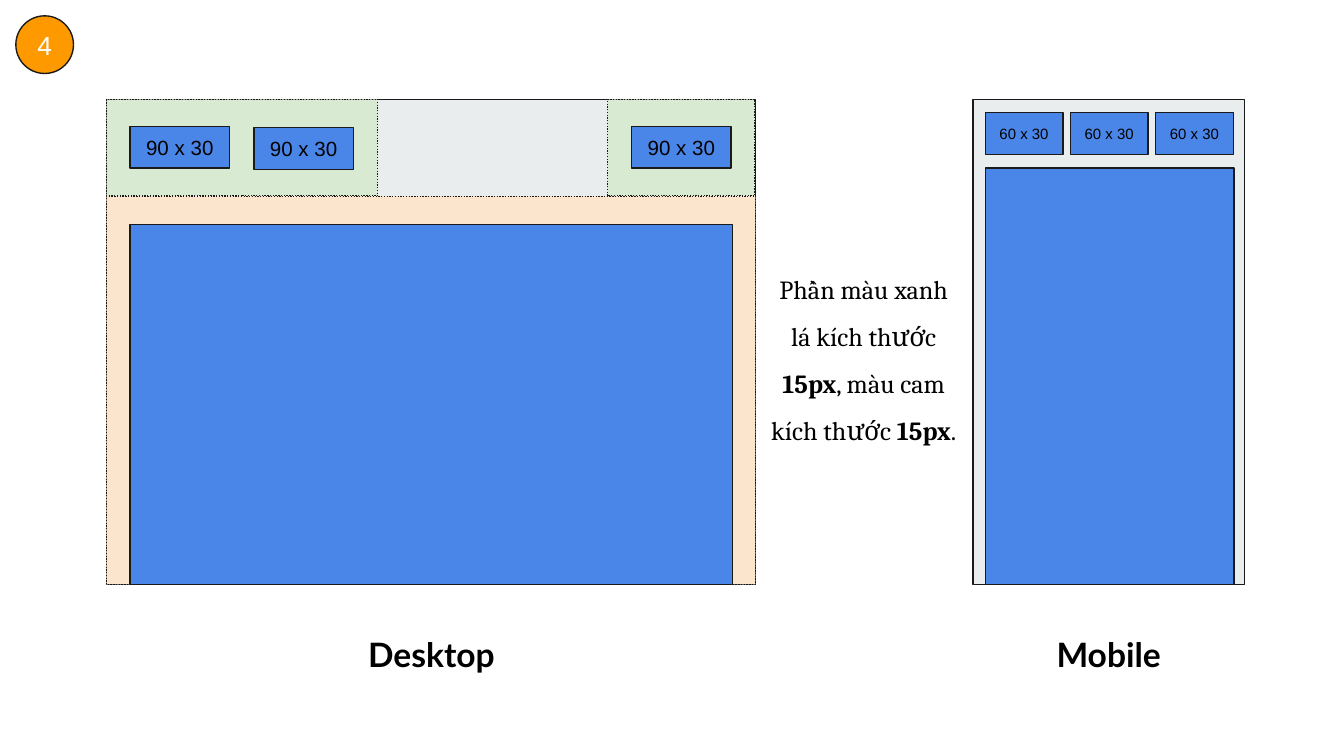
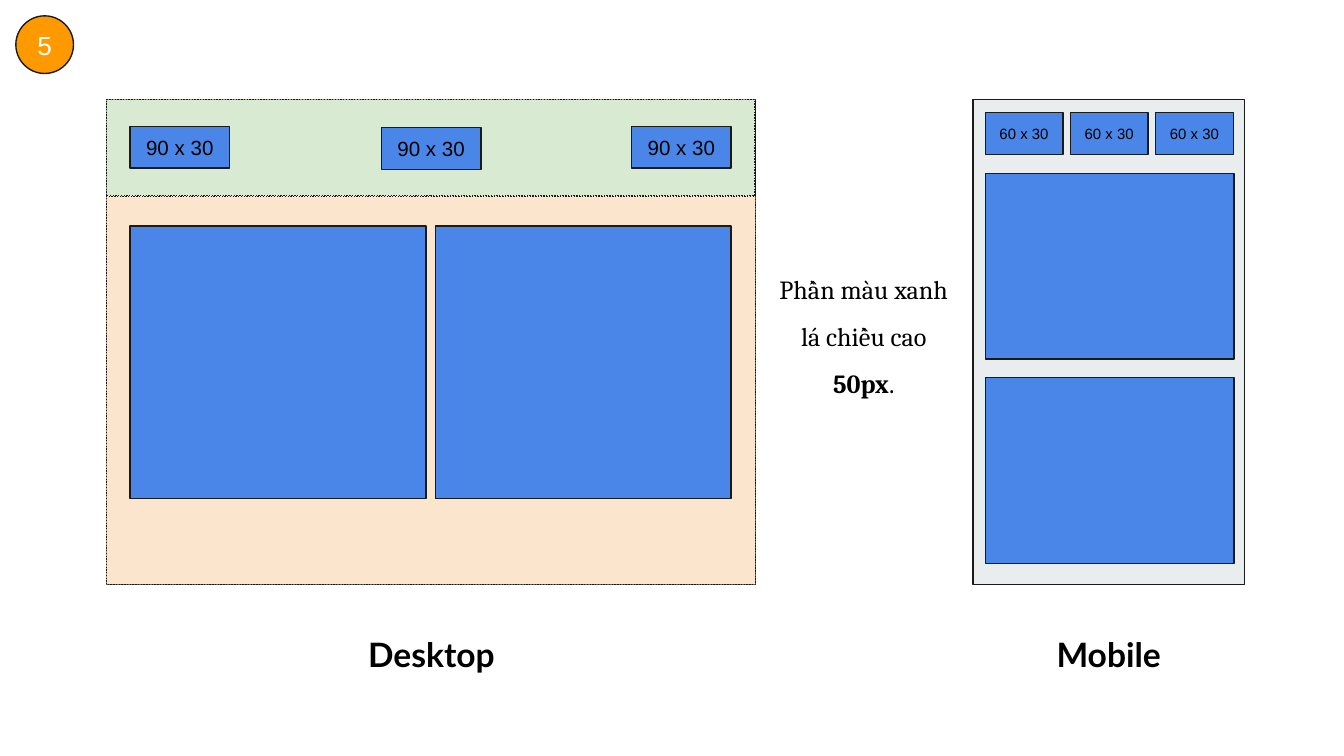
from pptx import Presentation
from pptx.dml.color import RGBColor
from pptx.enum.dml import MSO_LINE
from pptx.enum.shapes import MSO_SHAPE
from pptx.enum.text import MSO_ANCHOR, PP_ALIGN
from pptx.util import Cm, Pt

RECT, OVAL = MSO_SHAPE.RECTANGLE, MSO_SHAPE.OVAL
DOT = MSO_LINE.ROUND_DOT
LEFT, CENTER = PP_ALIGN.LEFT, PP_ALIGN.CENTER
TOP, MIDDLE = MSO_ANCHOR.TOP, MSO_ANCHOR.MIDDLE

COLORS = {
    "line": "1A1A1A", "gray": "E9EDEE", "green": "D9EAD3", "peach": "FCE5CD",
    "blue": "4A86E8", "orange": "FF9900", "black": "000000", "white": "FFFFFF",
}


def color(name):
    return RGBColor.from_string(COLORS[name])


def write(shape, text, size, font="Arial", ink="black", bold=False,
          align=CENTER, anchor=MIDDLE, space=None):
    frame = shape.text_frame
    frame.word_wrap = True
    frame.vertical_anchor = anchor
    frame.margin_left = frame.margin_right = Cm(0.25)
    frame.margin_top = frame.margin_bottom = Cm(0.25)
    para = frame.paragraphs[0]
    para.alignment = align
    if space:
        para.line_spacing = space
    for i, part in enumerate(text.split("*")):
        run = para.add_run()
        run.text = part
        run.font.name = font
        run.font.size = Pt(size)
        run.font.bold = bold or i % 2 == 1
        run.font.color.rgb = color(ink)


class Deck:
    def __init__(self):
        self.prs = Presentation()
        self.prs.slide_width = Cm(25.4)
        self.prs.slide_height = Cm(14.29)
        self.slide = None

    def box(self, x, y, w, h, fill="blue", kind=RECT, dash=None):
        shape = self.slide.shapes.add_shape(kind, Cm(x), Cm(y), Cm(w), Cm(h))
        shape.shadow.inherit = False
        shape.fill.solid()
        shape.fill.fore_color.rgb = color(fill)
        shape.line.color.rgb = color("line")
        shape.line.width = Pt(0.75)
        if dash:
            shape.line.dash_style = dash
        return shape

    def zone(self, x, y, w, h, fill):
        self.box(x, y, w, h, fill, dash=DOT)

    def label(self, x, y, w, h, text, size, **style):
        area = self.slide.shapes.add_textbox(Cm(x), Cm(y), Cm(w), Cm(h))
        write(area, text, size, anchor=TOP, **style)

    def button(self, x, y, w, text, size):
        write(self.box(x, y, w, 0.79), text, size)

    def badge(self, text):
        disc = self.box(0.3, 0.3, 1.09, 1.09, "orange", OVAL)
        write(disc, text, 14, ink="white", align=LEFT)

    def page(self, number, note, depth, greens, middle):
        self.slide = self.prs.slides.add_slide(self.prs.slide_layouts[6])
        self.box(18.39, 1.88, 5.13, 9.17, "gray")
        self.box(2.01, 1.88, 12.27, 9.17, "gray")
        for x, w in greens:
            self.zone(x, 1.88, w, 1.83, "green")
        self.zone(2.01, 3.71, 12.27, 7.34, "peach")
        for x, y in ((2.46, 2.39), (middle, 2.41), (11.94, 2.39)):
            self.button(x, y, 1.88, "90 x 30", 11)
        for i in range(3):
            self.button(18.62 + 1.61 * i, 2.13, 1.47, "60 x 30", 8)
        for x, w, text in ((1.88, 12.55, "Desktop"), (18.39, 5.13, "Mobile")):
            self.label(x, 11.73, w, 1.45, text, 18, font="Lato", bold=True)
        self.label(14.27, 4.62, 4.11, depth, note, 14, font="Cambria", space=1.5)
        self.badge(number)


def main():
    deck = Deck()

    deck.page("4", "Phần màu xanh lá kích thước *15px*, màu cam kích thước *15px*.",
              2.97, ((2.01, 5.13), (11.48, 2.79)), 4.8)
    deck.box(2.46, 4.24, 11.38, 6.81)
    deck.box(18.62, 3.18, 4.7, 7.87)

    deck.page("5", "Phần màu xanh lá chiều cao *50px*.",
              5.64, ((2.01, 12.25),), 7.21)
    for i in range(2):
        deck.box(2.46 + 5.77 * i, 4.27, 5.59, 5.16)
        deck.box(18.62, 3.28 + 3.86 * i, 4.7, 3.51)

    deck.prs.save("out.pptx")


if __name__ == "__main__":
    main()
